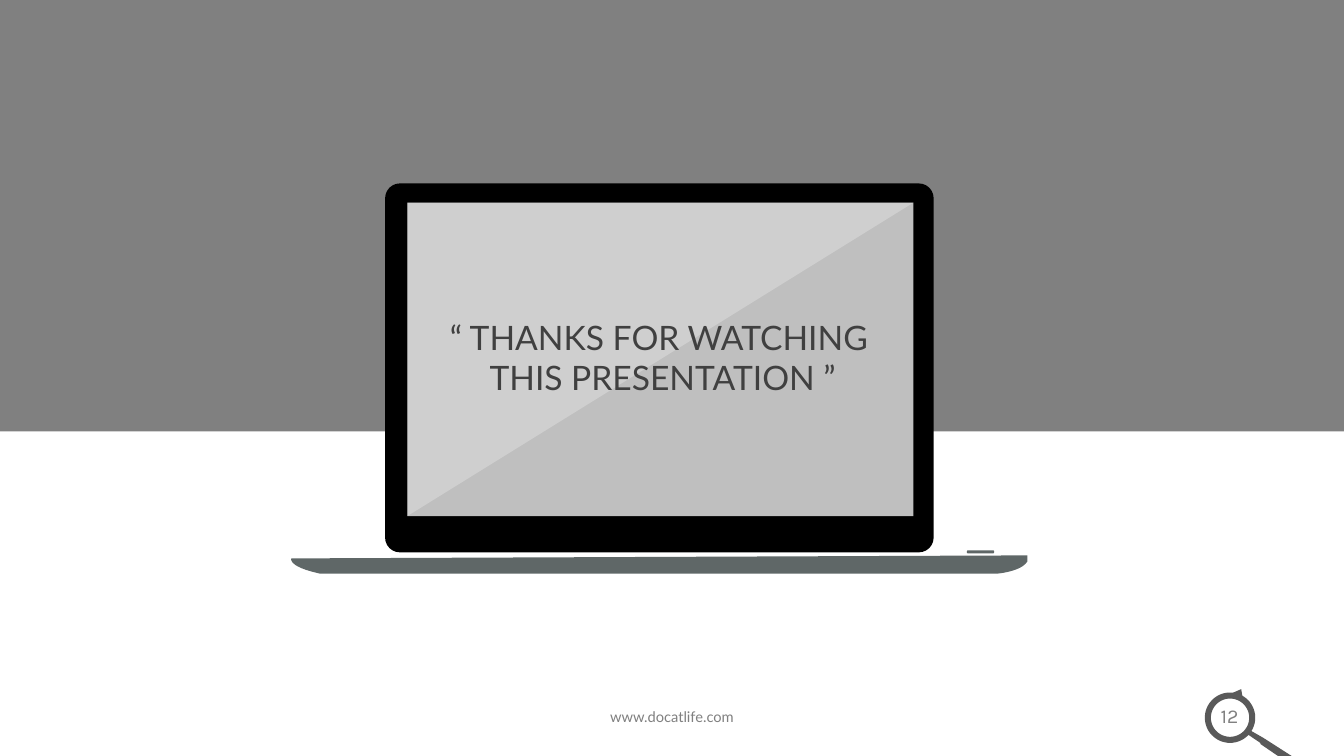
import math

import lxml.etree
import pptx
import pptx.dml.color
import pptx.enum.shapes
import pptx.enum.text
import pptx.oxml.ns
import pptx.util

Inches = pptx.util.Inches
RGBColor = pptx.dml.color.RGBColor
Shape = pptx.enum.shapes.MSO_SHAPE
Anchor = pptx.enum.text.MSO_ANCHOR

BLACK = RGBColor(0x00, 0x00, 0x00)
WHITE = RGBColor(0xFF, 0xFF, 0xFF)
GRAY = RGBColor(0x80, 0x80, 0x80)
SCREEN_GRAY = RGBColor(0xBF, 0xBF, 0xBF)
BASE_GRAY = RGBColor(0x5F, 0x67, 0x67)
LENS_GRAY = RGBColor(0x59, 0x59, 0x59)
TITLE_GRAY = RGBColor(0x40, 0x40, 0x40)


def add_filled(shapes, color, preset=None, at=None, contours=None):
    """Add a borderless preset shape at a box, or an outline of closed contours."""
    if preset is not None:
        shape = shapes.add_shape(preset, *map(Inches, at))
    else:
        contours = [[(Inches(x), Inches(y)) for x, y in contour] for contour in contours]
        builder = shapes.build_freeform(*contours[0][0])
        builder.add_line_segments(contours[0][1:], close=True)
        for contour in contours[1:]:
            builder.move_to(*contour[0])
            builder.add_line_segments(contour[1:], close=True)
        shape = builder.convert_to_shape()
    shape.shadow.inherit = False
    shape.fill.solid()
    shape.fill.fore_color.rgb = color
    shape.line.fill.background()
    return shape


def write_text(box, lines, size, font, color, anchor=Anchor.TOP):
    frame = box.text_frame
    frame.word_wrap = True
    frame.auto_size = pptx.enum.text.MSO_AUTO_SIZE.NONE
    frame.vertical_anchor = anchor
    for index, line in enumerate(lines):
        para = frame.paragraphs[0] if index == 0 else frame.add_paragraph()
        para.alignment = pptx.enum.text.PP_ALIGN.CENTER
        span = para.add_run()
        span.text = line
        span.font.size = pptx.util.Pt(size)
        span.font.name = font
        span.font.color.rgb = color


deck = pptx.Presentation()
deck.slide_width = Inches(13.33)
deck.slide_height = Inches(7.5)
page = deck.slides.add_slide(deck.slide_layouts.get_by_name("Title Only"))

add_filled(page.shapes, GRAY, Shape.RECTANGLE, (0, 0, 13.33, 4.28))

# Laptop
laptop = page.shapes.add_group_shape().shapes
lid = add_filled(laptop, BLACK, Shape.ROUNDED_RECTANGLE, (3.82, 1.82, 5.44, 3.66))
lid.adjustments[0] = 0.04

left, top, width, height = screen = (4.04, 2.01, 5.02, 3.11)
add_filled(laptop, SCREEN_GRAY, Shape.RECTANGLE, screen)

base_curves = [
    [(2.89, 5.54), (2.89, 5.54), (2.85, 5.62), (3.17, 5.69)],
    [(9.9, 5.69), (9.9, 5.69), (10.13, 5.67), (10.19, 5.57)],
]
base = []
for curve in base_curves:
    for step in range(13):
        t = step / 12
        weights = [math.comb(3, i) * t**i * (1 - t) ** (3 - i) for i in range(4)]
        base.append([sum(w * point[axis] for w, point in zip(weights, curve)) for axis in (0, 1)])
add_filled(laptop, BASE_GRAY, contours=[base + [(10.19, 5.51)]])

button = add_filled(laptop, BASE_GRAY, Shape.ROUNDED_RECTANGLE, (9.59, 5.46, 0.27, 0.03))
button.adjustments[0] = 0.35

glare = add_filled(
    laptop, WHITE, contours=[[(left + width, top), (left, top), (left, top + height)]]
)
glare_color = glare.fill._xPr.find(".//" + pptx.oxml.ns.qn("a:srgbClr"))
lxml.etree.SubElement(glare_color, pptx.oxml.ns.qn("a:alpha"), val="25000")

# Title on the screen, brought in front of the laptop
title = page.shapes.title
title.left, title.top, title.width, title.height = map(Inches, (2.52, 3.09, 8.03, 0.91))
title.element.getparent().append(title.element)
write_text(
    title,
    ["“ THANKS FOR WATCHING", " THIS PRESENTATION ”"],
    size=24,
    font="Lato",
    color=TITLE_GRAY,
    anchor=Anchor.MIDDLE,
)

footer = page.shapes.add_textbox(*map(Inches, (4.25, 6.97, 4.83, 0.28)))
write_text(footer, ["www.docatlife.com"], size=10.5, font="Lato", color=GRAY)

# Magnifier around the page number
magnifier = page.shapes.add_group_shape().shapes
number = magnifier.add_textbox(*map(Inches, (11.89, 6.93, 0.61, 0.34)))
write_text(number, ["12"], size=14, font="Karla", color=GRAY)

pointer = add_filled(magnifier, LENS_GRAY, Shape.RIGHT_ARROW, (12.23, 6.83, 0.11, 0.11))
pointer.adjustments[0] = 0.32
pointer.adjustments[1] = 0.64
pointer.rotation = 298.7

rings = []
for radius, first, last in [(0.25, 43, 392), (0.19, 0, 360)]:
    angles = [math.radians(first + (last - first) * i / 60) for i in range(61)]
    rings.append([(12.2 + radius * math.cos(a), 7.12 + radius * math.sin(a)) for a in angles])
handle = [
    (12.53, 7.32), (12.92, 7.57), (12.94, 7.59), (12.92, 7.62),
    (12.9, 7.65), (12.88, 7.64), (12.5, 7.38), (12.5, 7.37),
]
add_filled(magnifier, LENS_GRAY, contours=[rings[0] + handle, rings[1]])

deck.save("out.pptx")
